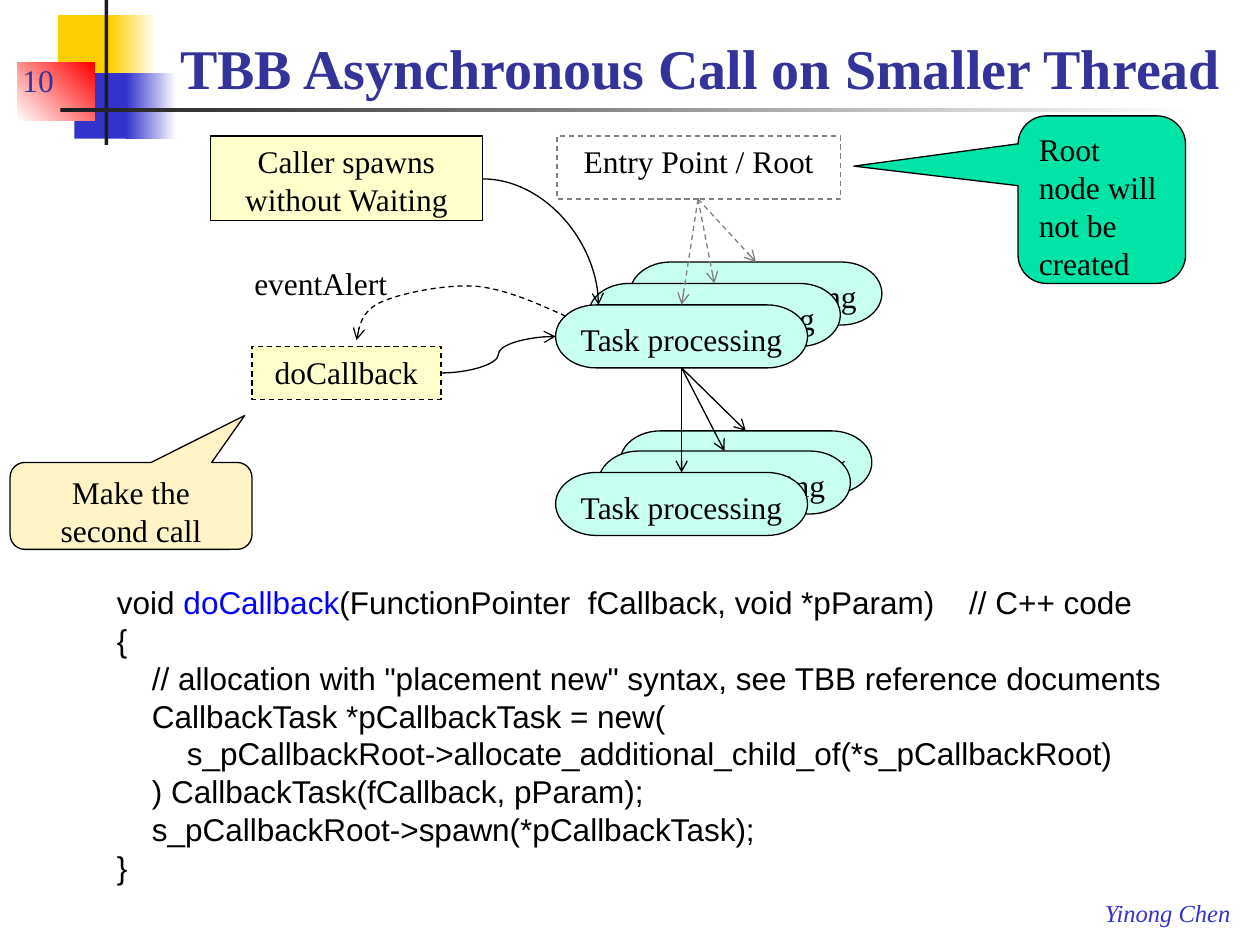
from lxml.etree import SubElement
from pptx import Presentation
from pptx.dml.color import RGBColor
from pptx.enum.dml import MSO_LINE
from pptx.enum.shapes import MSO_CONNECTOR, MSO_SHAPE
from pptx.enum.text import MSO_ANCHOR, MSO_AUTO_SIZE, PP_ALIGN
from pptx.oxml.ns import qn
from pptx.util import Inches, Pt

BLACK = RGBColor(0, 0, 0)
WHITE = RGBColor(0xFF, 0xFF, 0xFF)
GRAY = RGBColor(0x80, 0x80, 0x80)
DARK = RGBColor(0x1C, 0x1C, 0x1C)
GOLD = RGBColor(0xFF, 0xCF, 0x01)
RED = RGBColor(0xFF, 0, 0)
BLUE = RGBColor(0x33, 0x33, 0xCC)
NAVY = RGBColor(0x33, 0x33, 0x99)
LINK = RGBColor(0, 0, 0xFF)
MINT = RGBColor(0xC7, 0xFF, 0xF0)
GREEN = RGBColor(0, 0xE4, 0xA8)
CREAM = RGBColor(0xFF, 0xFF, 0xCC)
SAND = RGBColor(0xFF, 0xF4, 0xC8)

CODE = """void doCallback(FunctionPointer  fCallback, void *pParam)    // C++ code
{
    // allocation with "placement new" syntax, see TBB reference documents
    CallbackTask *pCallbackTask = new(
        s_pCallbackRoot->allocate_additional_child_of(*s_pCallbackRoot)
    ) CallbackTask(fCallback, pParam);
    s_pCallbackRoot->spawn(*pCallbackTask);
}"""


def write(shape, text, size=18, font="Times New Roman", color=BLACK, bold=False,
          italic=False, align=PP_ALIGN.LEFT, anchor=MSO_ANCHOR.TOP, wrap=True, mark=None):
    """Fill a shape with text, one paragraph a line, with marked words in blue."""
    frame = shape.text_frame
    frame.word_wrap = wrap
    frame.auto_size = MSO_AUTO_SIZE.NONE
    frame.vertical_anchor = anchor
    for i, line in enumerate(text.split("\n")):
        para = frame.add_paragraph() if i else frame.paragraphs[0]
        para.alignment = align
        for part in line.partition(mark) if mark else [line]:
            if part:
                run = para.add_run()
                run.text = part
                face = run.font
                face.name, face.size = font, Pt(size)
                face.bold, face.italic = bold, italic
                face.color.rgb = LINK if part == mark else color


def label(slide, box, text, **style):
    """Add a text box."""
    write(slide.shapes.add_textbox(*map(Inches, box)), text, **style)


def stroke(line, color=BLACK, dash=False):
    """Set a thin line, solid or dashed."""
    line.color.rgb = color
    line.width = Pt(0.75)
    if dash:
        line.dash_style = MSO_LINE.DASH


def point(shape):
    """Put an open arrowhead at the end of a line."""
    SubElement(shape.element.spPr.find(qn("a:ln")), qn("a:tailEnd"), type="arrow")


def band(slide, box, color, fade=None, angle=0):
    """Add a bare bar, plain or fading to a second colour."""
    shape = slide.shapes.add_shape(MSO_SHAPE.RECTANGLE, *map(Inches, box))
    shape.shadow.inherit = False
    shape.line.fill.background()
    if fade is None:
        shape.fill.solid()
        shape.fill.fore_color.rgb = color
        return
    shape.fill.gradient()
    shape.fill.gradient_angle = angle
    for stop, tone, place in zip(shape.fill.gradient_stops, (color, fade), (0, 1)):
        stop.color.rgb = tone
        stop.position = place


def node(slide, box, text, fill, kind=MSO_SHAPE.RECTANGLE, edge=BLACK, dash=False,
         tip=None, align=PP_ALIGN.CENTER):
    """Add an outlined shape with text."""
    shape = slide.shapes.add_shape(kind, *map(Inches, box))
    shape.shadow.inherit = False
    shape.fill.solid()
    shape.fill.fore_color.rgb = fill
    stroke(shape.line, edge, dash)
    for i, value in enumerate(tip or ()):
        shape.adjustments[i] = value
    write(shape, text, align=align)


def stack(slide, spots):
    """Add overlapping task nodes from back to front."""
    for x, y in spots:
        node(slide, (x, y, 2, 0.5), "Task processing", MINT, MSO_SHAPE.FLOWCHART_TERMINATOR)


def arrow(slide, start, end, color=BLACK, dash=False, kind=MSO_CONNECTOR.STRAIGHT, bend=None):
    """Add a connector with an arrowhead."""
    wire = slide.shapes.add_connector(kind, *map(Inches, (*start, *end)))
    stroke(wire.line, color, dash)
    point(wire)
    props = wire.element.spPr
    SubElement(props, qn("a:effectLst"))
    if bend:
        props.find(qn("a:prstGeom")).set("prst", bend)


def swoop(slide, start, curves, steps=16):
    """Add a dashed curved arrow through cubic Bezier pieces."""
    spots = []
    last = start
    for one, two, end in curves:
        for i in range(1, steps + 1):
            t = i / steps
            u = 1 - t
            spots.append([Inches(u**3 * a + 3 * u * u * t * b + 3 * u * t * t * c + t**3 * d)
                          for a, b, c, d in zip(last, one, two, end)])
        last = end
    pen = slide.shapes.build_freeform(*map(Inches, start))
    pen.add_line_segments(spots, close=False)
    shape = pen.convert_to_shape()
    shape.shadow.inherit = False
    shape.fill.background()
    stroke(shape.line, dash=True)
    point(shape)


def frame(slide):
    """Add the corner bars, title, number and author."""
    band(slide, (0.46, 0.12, 0.48, 0.52), GOLD)
    band(slide, (0.88, 0.12, 0.36, 0.52), GOLD, WHITE)
    band(slide, (0.59, 0.58, 0.46, 0.52), BLUE)
    band(slide, (1, 0.58, 0.4, 0.52), BLUE, WHITE)
    band(slide, (0.14, 0.5, 0.61, 0.46), WHITE, RED, 45)
    band(slide, (0.83, 0, 0.03, 1.15), DARK)
    band(slide, (0.48, 0.86, 9, 0.03), DARK, WHITE)
    label(slide, (8.67, 7.08, 1.2, 0.34), "Yinong Chen", size=14, color=BLUE,
          italic=True, wrap=False)
    title = slide.shapes.title
    title.left, title.top, title.width, title.height = map(Inches, (1.33, 0.17, 8.58, 0.68))
    write(title, "TBB Asynchronous Call on Smaller Thread", size=32, color=NAVY,
          bold=True, anchor=MSO_ANCHOR.BOTTOM)
    label(slide, (0.08, 0.33, 1.5, 0.5), "10", color=NAVY, anchor=MSO_ANCHOR.BOTTOM)


def chart(slide):
    """Add the call diagram."""
    root, task = (5.54, 1.58), (5.41, 2.92)
    arrow(slide, task, (5.92, 3.42))
    node(slide, (4.42, 1.08, 2.25, 0.5), "Entry Point / Root", WHITE, edge=GRAY, dash=True)
    node(slide, (1.67, 1.08, 2.16, 0.67), "Caller spawns\nwithout Waiting", CREAM)
    stack(slide, [(5, 2.08), (4.67, 2.25), (4.41, 2.42)])
    for end in [(5.41, 2.42), (6, 2.08), (5.67, 2.25)]:
        arrow(slide, root, end, GRAY, True)
    stack(slide, [(4.92, 3.42), (4.75, 3.58), (4.41, 3.75)])
    for end in [(5.41, 3.75), (5.75, 3.58)]:
        arrow(slide, task, end)
    arrow(slide, (3.83, 1.42), (4.75, 2.42), kind=MSO_CONNECTOR.CURVE, bend="curvedConnector2")
    node(slide, (2, 2.75, 1.5, 0.42), "doCallback", CREAM, dash=True)
    arrow(slide, (3.5, 2.96), (4.41, 2.67), kind=MSO_CONNECTOR.CURVE)
    node(slide, (8.08, 0.92, 1.33, 1.33), "Root node will not be created", GREEN,
         MSO_SHAPE.ROUNDED_RECTANGULAR_CALLOUT, tip=(-1.48, -0.2, 0.17), align=PP_ALIGN.LEFT)
    label(slide, (1.92, 2.05, 1.27, 0.4), "eventAlert", wrap=False)
    swoop(slide, (4.49, 2.51), [
        ((4.25, 2.4), (4, 2.29), (3.76, 2.27)),
        ((3.51, 2.26), (3.17, 2.33), (3.02, 2.4)),
        ((2.87, 2.47), (2.85, 2.59), (2.83, 2.7)),
    ])
    node(slide, (0.08, 3.67, 1.92, 0.69), "Make the second call", SAND,
         MSO_SHAPE.ROUNDED_RECTANGULAR_CALLOUT, tip=(0.47, -1.04, 0.17))


def main():
    """Build and save the slide."""
    deck = Presentation()
    deck.slide_width, deck.slide_height = Inches(10), Inches(7.5)
    slide = deck.slides.add_slide(deck.slide_layouts[5])
    frame(slide)
    chart(slide)
    label(slide, (0.83, 4.58, 8.92, 2.52), CODE, font="Arial", mark="doCallback")
    deck.save("out.pptx")


if __name__ == "__main__":
    main()
